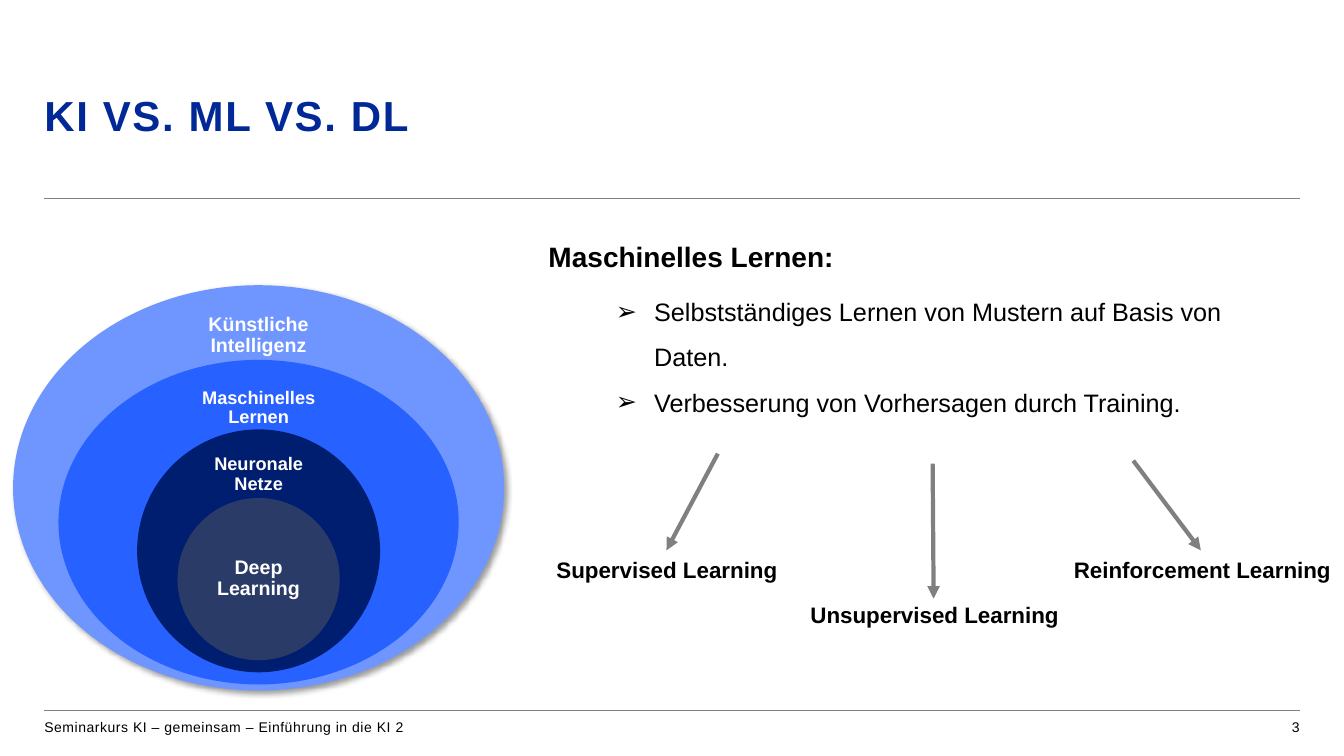
from lxml import etree
from pptx import Presentation
from pptx import util as u
from pptx.dml.color import RGBColor
from pptx.enum import shapes, text
from pptx.oxml import parse_xml
from pptx.oxml.ns import nsdecls, qn

COLORS = {
    "title": "002896", "body": "000000", "label": "FFFFFF", "line": "808080",
    "ai": "6F95FF", "ml": "2761FF", "nets": "001E70", "deep": "2B3B68",
}
RING_CENTER = 2.565
# fill, ellipse top, width, height, label, label top, width, height, size
RINGS = [
    ("ai", 2.83, 4.87, 4.02, "Künstliche Intelligenz", 3.03, 1.36, 0.6, 14),
    ("ml", 3.57, 3.97, 3.22, "Maschinelles Lernen", 3.76, 1.39, 0.58, 13),
    ("nets", 4.26, 2.41, 2.41, "Neuronale Netze", 4.44, 1.12, 0.54, 13),
    ("deep", 4.94, 1.61, 1.61, "Deep Learning", 5.34, 1.14, 0.8, 14),
]
# label, label top, arrow start, arrow end
BRANCHES = [
    ("Supervised Learning", 5.5, (7.12, 4.5), (6.61, 5.46)),
    ("Unsupervised Learning", 5.94, (9.25, 4.6), (9.26, 5.94)),
    ("Reinforcement Learning", 5.5, (11.24, 4.57), (11.91, 5.46)),
]


def color(name):
    return RGBColor.from_string(COLORS[name])


def add_bullet(para, char, indent):
    props = para._p.get_or_add_pPr()
    props.set("marL", str(u.Inches(indent)))
    props.set("indent", str(-u.Inches(indent)))
    etree.SubElement(props, qn("a:buFont"), typeface="Arial")
    etree.SubElement(props, qn("a:buChar"), char=char)


def add_text(parent, content, left, top, width, height, *, size, fill="body",
             bold=False, align="LEFT", middle=False, inset=(0, 0),
             line=None, after=None, tracking=0, bullet=None):
    """Add a text box with one paragraph per line of content."""
    box = parent.add_textbox(*map(u.Inches, (left, top, width, height)))
    frame = box.text_frame
    frame.word_wrap = True
    frame.margin_left = frame.margin_right = u.Inches(inset[0])
    frame.margin_top = frame.margin_bottom = u.Inches(inset[1])
    anchor = text.MSO_ANCHOR
    frame.vertical_anchor = anchor.MIDDLE if middle else anchor.TOP
    for index, words in enumerate(content.split("\n")):
        para = frame.add_paragraph() if index else frame.paragraphs[0]
        para.alignment = text.PP_ALIGN[align]
        if line:
            para.line_spacing = line
        if after:
            para.space_after = u.Pt(after)
        if bullet:
            add_bullet(para, bullet, 0.38)
        span = para.add_run()
        span.text = words
        span.font.name = "Arial"
        span.font.size = u.Pt(size)
        span.font.bold = bold
        span.font.color.rgb = color(fill)
        if tracking:
            span._r.get_or_add_rPr().set("spc", str(round(tracking * 100)))


def add_line(parent, start, end, weight, arrow=False):
    line = parent.add_connector(shapes.MSO_CONNECTOR.STRAIGHT,
                                *map(u.Inches, start + end))
    line.line.color.rgb = color("line")
    line.line.width = u.Pt(weight)
    if arrow:
        etree.SubElement(line.line._get_or_add_ln(), qn("a:tailEnd"), type="triangle")
    etree.SubElement(line._element.spPr, qn("a:effectLst"))


def add_ellipse(parent, fill, top, width, height):
    left = RING_CENTER - width / 2
    ellipse = parent.add_shape(shapes.MSO_SHAPE.OVAL,
                               *map(u.Inches, (left, top, width, height)))
    ellipse.shadow.inherit = False
    ellipse.fill.solid()
    ellipse.fill.fore_color.rgb = color(fill)
    ellipse.line.fill.background()
    return ellipse


def add_soft_shadow(shape):
    effects = shape._element.spPr.find(qn("a:effectLst"))
    effects.append(parse_xml(
        f'<a:outerShdw {nsdecls("a")} blurRad="{u.Pt(4)}" dist="{u.Pt(3)}" '
        'dir="2700000" algn="tl" rotWithShape="0"><a:srgbClr val="000000">'
        '<a:alpha val="40000"/></a:srgbClr></a:outerShdw>'))


def add_rings(slide):
    rings = slide.shapes.add_group_shape().shapes
    for index, ring in enumerate(RINGS):
        fill, top, width, height, label, label_top, label_width, label_height, size = ring
        ellipse = add_ellipse(rings, fill, top, width, height)
        if index == 0:
            add_soft_shadow(ellipse)
        add_text(rings, label, RING_CENTER - label_width / 2, label_top,
                 label_width, label_height, size=size, fill="label", bold=True,
                 align="CENTER", middle=True, inset=(0.1, 0.1), line=0.9)


def add_branches(slide):
    for index, (label, top, start, end) in enumerate(BRANCHES):
        add_line(slide.shapes, start, end, 3, arrow=True)
        add_text(slide.shapes, label, 5.01 + index * 2.655, top, 3.21, 0.44,
                 size=16, bold=True, align="CENTER", line=1.08)


def main():
    deck = Presentation()
    deck.slide_width, deck.slide_height = u.Inches(13.33), u.Inches(7.5)
    slide = deck.slides.add_slide(deck.slide_layouts[6])
    page = slide.shapes

    for rule_top in (7.05, 1.97):
        add_line(page, (0.44, rule_top), (12.89, rule_top), 0.5)
    add_text(page, "Seminarkurs KI – gemeinsam – Einführung in die KI 2",
             0.44, 7.13, 8.07, 0.24, size=10, after=6, tracking=0.4)
    add_text(page, "3", 10.81, 7.13, 2.08, 0.24, size=10, after=6, align="RIGHT")
    add_text(page, "KI VS. ML VS. DL", 0.44, 0.93, 12.44, 1, size=30,
             fill="title", bold=True, line=0.94, tracking=1.2)
    add_text(page, "Maschinelles Lernen:", 5.44, 2.35, 6.66, 0.4, size=20,
             bold=True, line=1.08)
    add_rings(slide)
    add_text(page, "Selbstständiges Lernen von Mustern auf Basis von Daten.\n"
             "Verbesserung von Vorhersagen durch Training.",
             6.01, 2.74, 6.47, 1.86, size=18, inset=(0.1, 0.05), line=1.5, bullet="➢")
    add_branches(slide)
    deck.save("out.pptx")


if __name__ == "__main__":
    main()
